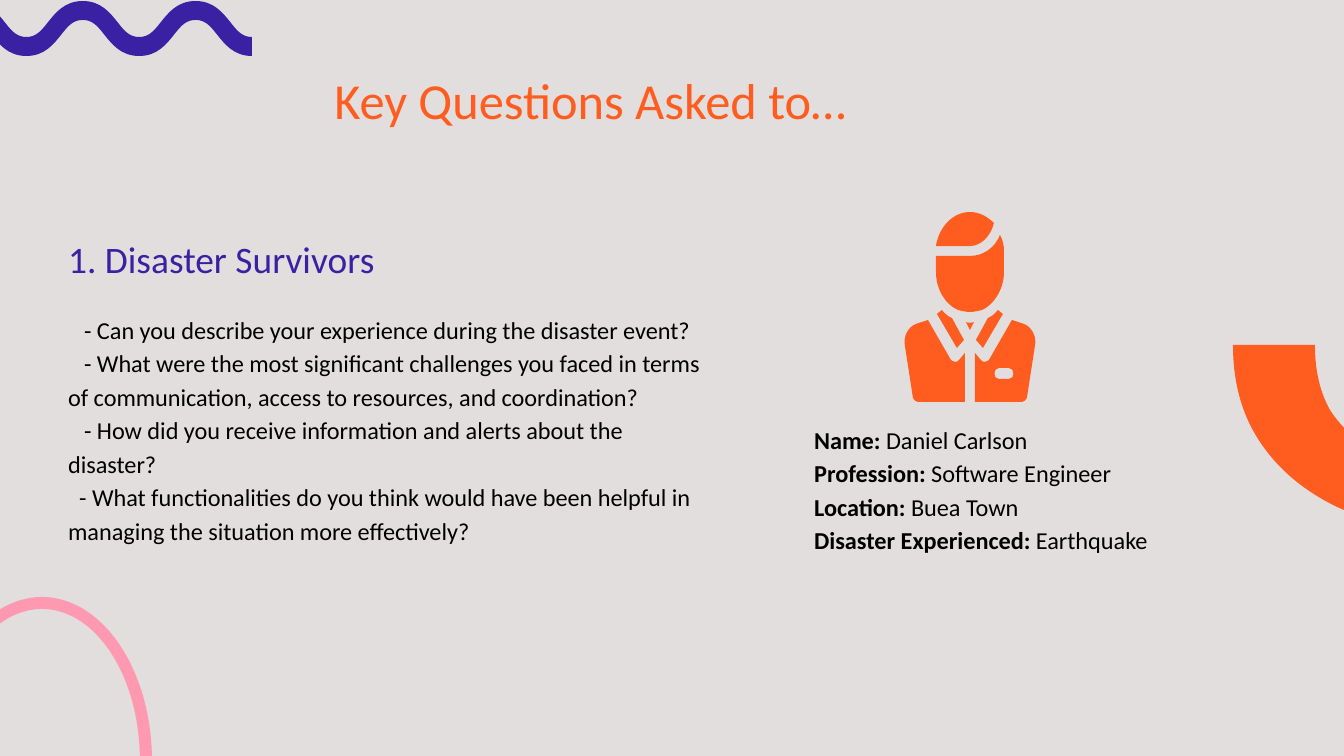
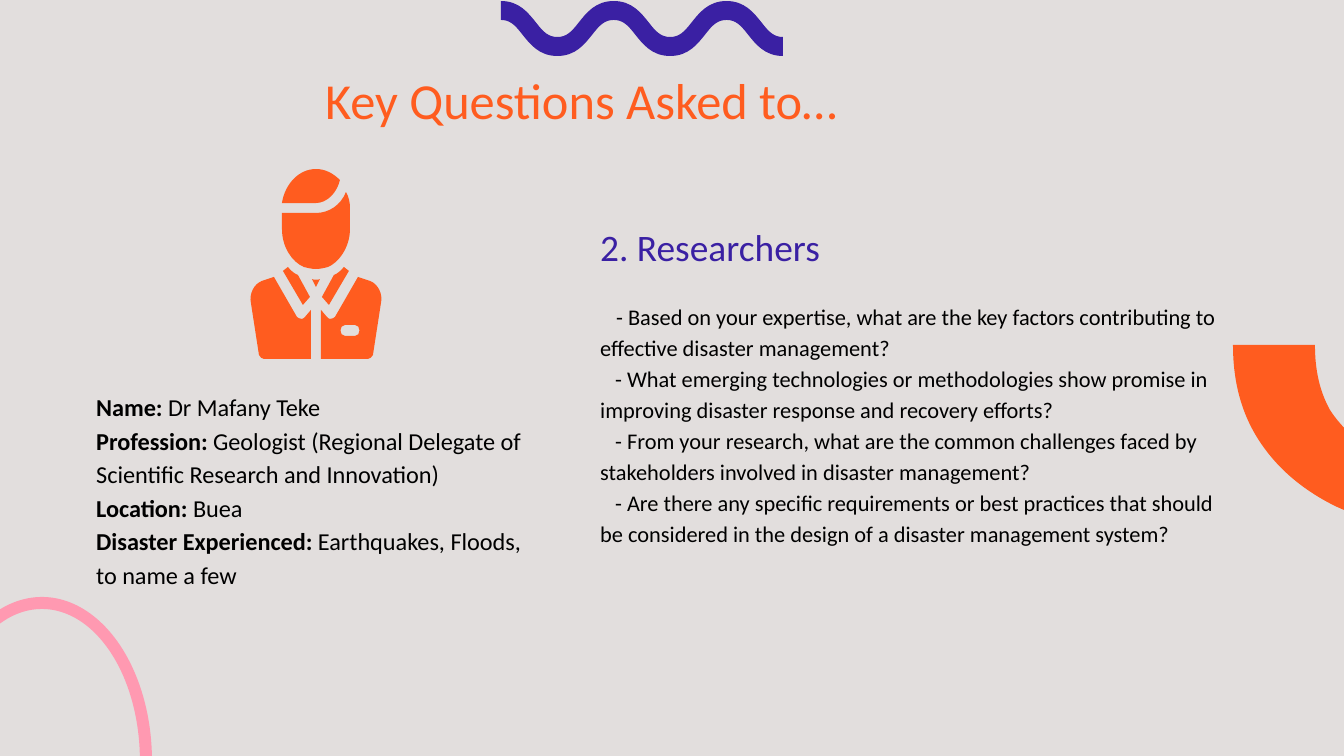
from pptx import Presentation
from pptx.dml.color import RGBColor
from pptx.enum.shapes import MSO_SHAPE
from pptx.enum.text import MSO_ANCHOR
from pptx.oxml.ns import qn
from pptx.util import Inches, Pt

PX = 914400 / 134.4
FONT = "Calibri"
COLORS = {
    "back": "E2DEDD",
    "orange": "FF5C1F",
    "violet": "3A20A3",
    "pink": "FF99B1",
    "text": "000000",
}
TITLE = "Key Questions Asked to…"

# Boxes are left, top, width, height; each question has its first-line indent.
SLIDES = [
    {
        "wave": -30,
        "title": (321, 56, 780, 89),
        "head": ("1. Disaster Survivors", (55, 221, 523, 73)),
        "ask": (55, 297, 667, 359),
        "size": 13,
        "questions": [
            (16, "- Can you describe your experience during the disaster event?"),
            (16, "- What were the most significant challenges you faced in terms of "
                 "communication, access to resources, and coordination?"),
            (16, "- How did you receive information and alerts about the disaster?"),
            (11, "- What functionalities do you think would have been helpful in "
                 "managing the situation more effectively?"),
        ],
        "bio": (801, 407, 465, 159),
        "facts": [
            ("Name:", "Daniel Carlson"),
            ("Profession:", "Software Engineer"),
            ("Location:", "Buea Town"),
            ("Disaster Experienced:", "Earthquake"),
        ],
        "person": (970, 212),
    },
    {
        "wave": 501,
        "title": (312, 56, 868, 89),
        "head": ("2. Researchers", (587, 209, 523, 73)),
        "ask": (587, 286, 667, 371),
        "size": 12,
        "questions": [
            (16, "- Based on your expertise, what are the key factors contributing "
                 "to effective disaster management?"),
            (15, "- What emerging technologies or methodologies show promise in "
                 "improving disaster response and recovery efforts?"),
            (15, "- From your research, what are the common challenges faced by "
                 "stakeholders involved in disaster management?"),
            (15, "- Are there any specific requirements or best practices that should "
                 "be considered in the design of a disaster management system?"),
        ],
        "bio": (83, 375, 465, 325),
        "facts": [
            ("Name:", "Dr Mafany Teke"),
            ("Profession:", "Geologist (Regional Delegate of Scientific Research "
                            "and Innovation)"),
            ("Location:", "Buea"),
            ("Disaster Experienced:", "Earthquakes, Floods, to name a few"),
        ],
        "person": (316, 169),
    },
]

# An outline is a list of steps: two numbers for a corner, six for a curve.
# The person is measured from the top of the head, on its middle axis.
COLLAR = [(28, 98), (25, 102, 21, 105, 18, 106), (6, 128), (13, 136), (33, 102)]
TORSO = [
    (42, 108), (19, 148), (18, 149, 16, 150, 14, 150),
    (13, 150, 12, 149, 11, 148), (5, 141), (5, 190), (52, 190),
    (54, 190, 56, 188, 57, 186), (65, 134), (67, 125, 62, 115, 54, 112),
]
POCKET = [(39, 156), (45, 156, 45, 167, 39, 167), (29, 167),
          (23, 167, 23, 156, 29, 156)]
FACE = [
    (30, 23), (25, 36, 13, 44, 0, 44), (-34, 44), (-34, 60),
    (-34, 78, -24, 93, -12, 98), (-8, 99, -4, 100, 0, 100),
    (4, 100, 8, 99, 12, 98), (22, 94, 34, 79, 34, 60), (34, 39),
    (34, 34, 33, 28, 30, 23),
]
HAIR = [(0, 0), (-17, 0, -31, 15, -34, 34), (0, 34),
        (11, 34, 21, 24, 24, 11), (17, 4, 9, 0, 0, 0)]
KNOT = [(-4, 110), (0, 118), (4, 110), (3, 111, -3, 111, -4, 110)]

# Curve points: one falling half of the wave, and left halves of the arch
HALF, HALVES, DEPTH = 56.4, 5, 55
FALL = [(0, 19), (9, 19), (14, 24), (21, 33), (29, 43), (38, 55), (HALF, 55)]
OUTER = [(-213, 0), (-213, 38), (-204, 70), (-186, 97), (-168, 124),
         (-143, 145), (-111, 161), (-79, 176), (-42, 184), (0, 184)]
INNER = [(-131, 0), (-131, 26), (-126, 47), (-116, 65), (-105, 82),
         (-89, 97), (-70, 106), (-50, 117), (-27, 121), (0, 121)]


def emu(px):
    return round(px * PX)


def paint(shape, color):
    shape.shadow.inherit = False
    shape.fill.solid()
    shape.fill.fore_color.rgb = RGBColor.from_string(COLORS[color])
    shape.line.fill.background()


def mirror(steps):
    return [tuple(v if i % 2 else -v for i, v in enumerate(step)) for step in steps]


def curves(points):
    """Turn a start and triples of curve points into steps."""
    return points[:1] + [sum(points[i:i + 3], ())
                         for i in range(1, len(points), 3)]


def bend(shape, steps):
    """Join the three lines of each six-number step into one curve."""
    lines = iter(list(shape._element.iter(qn("a:lnTo"))))
    for step in steps:
        line = next(lines)
        if len(step) == 6:
            curve = line.makeelement(qn("a:cubicBezTo"), {})
            line.addprevious(curve)
            for part in (line, next(lines), next(lines)):
                curve.append(part[0])
                part.getparent().remove(part)


def draw(shapes, left, top, color, *rings):
    """Draw closed outlines as one shape."""
    pen = None
    for ring in rings:
        spots = [(emu(left + step[i]), emu(top + step[i + 1]))
                 for step in ring for i in range(0, len(step), 2)]
        if pen:
            pen.move_to(*spots[0])
        else:
            pen = shapes.build_freeform(*spots[0])
        pen.add_line_segments(spots[1:], close=True)
    shape = pen.convert_to_shape()
    bend(shape, [step for ring in rings for step in ring[1:]])
    paint(shape, color)


def person(slide, left, top):
    group = slide.shapes.add_group_shape()
    for rings in ([COLLAR], [FACE], [HAIR], [mirror(TORSO)],
                  [POCKET, TORSO], [mirror(COLLAR)], [KNOT]):
        draw(group.shapes, left, top, "orange", *rings)


def wave(slide, left):
    edge = FALL[:1]
    for n in range(HALVES):
        half = [(HALF - x, y) for x, y in reversed(FALL)] if n % 2 else FALL
        edge = edge + [(n * HALF + x, y) for x, y in half[1:]]
    back = [(HALVES * HALF - x, DEPTH - y) for x, y in edge]
    draw(slide.shapes, left, 1, "violet", curves(edge) + curves(back))


def decor(slide):
    """Draw the arch at the right and the pink ring at the left."""
    outer, inner = (half + mirror(half[-2::-1]) for half in (OUTER, INNER))
    draw(slide.shapes, 1446, 345, "orange",
         curves(outer) + curves(inner[::-1]))
    ring = slide.shapes.add_shape(MSO_SHAPE.DONUT,
                                  *map(emu, (-68, 597, 220, 327)))
    ring.adjustments[0] = 12 / 220
    paint(ring, "pink")


def write(slide, box, paras, size, color="text", space=None,
          anchor=MSO_ANCHOR.TOP):
    """Add a text box; a paragraph is an indent and (text, bold) runs."""
    frame = slide.shapes.add_textbox(*map(emu, box)).text_frame
    frame.word_wrap = True
    frame.vertical_anchor = anchor
    frame.margin_left = frame.margin_right = Inches(0.1)
    frame.margin_top = frame.margin_bottom = Inches(0.1)
    for i, (indent, runs) in enumerate(paras):
        para = frame.add_paragraph() if i else frame.paragraphs[0]
        if space:
            para.line_spacing = space
        if indent:
            props = para._p.get_or_add_pPr()
            props.set("marL", "0")
            props.set("indent", str(emu(indent)))
        for text, bold in runs:
            run = para.add_run()
            run.text = text
            run.font.name = FONT
            run.font.size = Pt(size)
            run.font.bold = bold
            run.font.color.rgb = RGBColor.from_string(COLORS[color])


def build(deck, data):
    slide = deck.slides.add_slide(deck.slide_layouts[6])
    decor(slide)
    write(slide, data["title"], [(0, [(TITLE, False)])], 27, "orange")
    head, box = data["head"]
    write(slide, box, [(0, [(head, False)])], 20, "violet",
          anchor=MSO_ANCHOR.BOTTOM)
    wave(slide, data["wave"])
    asks = [(indent, [(text, False)]) for indent, text in data["questions"]]
    write(slide, data["ask"], asks, data["size"], space=1.15)
    facts = [(0, [(label, True), (" " + value, False)])
             for label, value in data["facts"]]
    write(slide, data["bio"], facts, 13, space=1.15)
    person(slide, *data["person"])


def main():
    deck = Presentation()
    deck.slide_width, deck.slide_height = emu(1344), emu(756)
    fill = deck.slide_master.background.fill
    fill.solid()
    fill.fore_color.rgb = RGBColor.from_string(COLORS["back"])
    for data in SLIDES:
        build(deck, data)
    deck.save("out.pptx")


if __name__ == "__main__":
    main()
